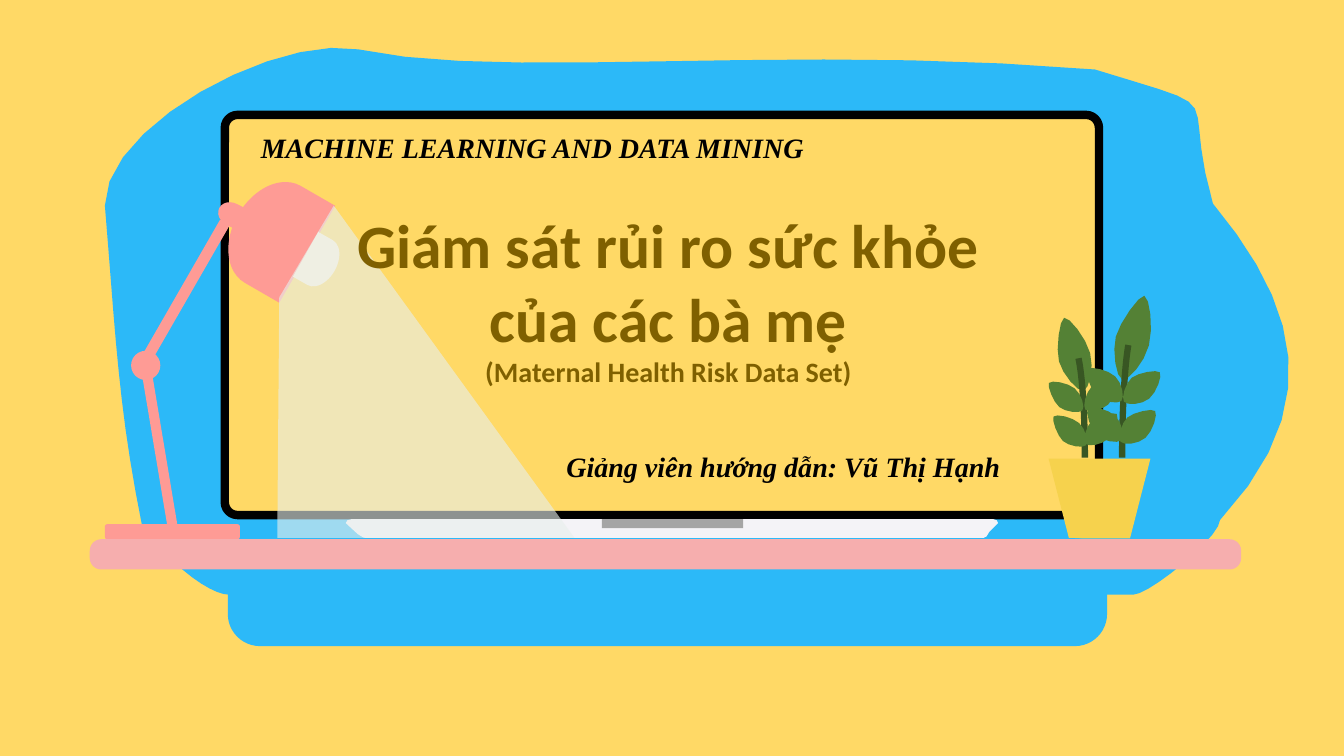
from lxml.etree import SubElement
from pptx import Presentation
from pptx.dml.color import RGBColor as Rgb
from pptx.enum.shapes import MSO_SHAPE as Kind
from pptx.enum.text import PP_ALIGN as Align
from pptx.oxml.ns import qn
from pptx.util import Inches, Pt

COLS, ROWS = 1333, 750
CELL = Inches(0.01)
HEX = {
    "sun": "FFD966", "sky": "2CB9F8", "ink": "000000", "foot": "F4F3F7",
    "grey": "A5A5A5", "leaf": "548135", "stem": "385623", "pot": "F6D24D",
    "lamp": "FE9B95", "bulb": "FCF1D7", "beam": "E8EFEC", "desk": "F6AEAE",
    "gold": "7F6000",
}

BLOB = [
    (104, 204), (103, 125, 274, 34, 355, 49), (498, 80, 773, 43, 1086, 69),
    (1228, 113, 1169, 84, 1203, 202), (1287, 303, 1316, 402, 1210, 516),
    (1210, 533, 1140, 590, 1124, 590), (227, 590),
    (211, 590, 175, 567, 141, 522), (117, 403, 115, 335, 104, 204),
]
FOOT = [
    (343, 519), (343, 517, 345, 515, 349, 515), (985, 515),
    (988, 515, 990, 517, 990, 519), (981, 528),
    (981, 530, 977, 535, 973, 535), (368, 535),
    (365, 535, 355, 532, 355, 530),
]
BEAM = [(277, 295), (331, 204), (570, 534), (275, 534)]
LEAF = [
    (0, .54), (0, .37, .36, 0, .5, 0), (.66, 0, 1, .33, 1, .54),
    (1, .75, .68, 1, .5, 1), (.32, 1, 0, .71, 0, .54),
]

SCREEN = (Kind.ROUNDED_RECTANGLE, (223, 114, 867, 397), "sun", 0, .032)
STAND = (Kind.RECTANGLE, (597, 515, 140, 9), "grey", 0, None)
POT = (Kind.FLOWCHART_MANUAL_OPERATION, (1040, 455, 101, 79), "pot", 0, None)
LAMP = [
    (Kind.ROUNDED_RECTANGLE, (104, 520, 134, 15), "lamp", 0, .167),
    (Kind.ROUNDED_RECTANGLE, (76, 442, 165, 10), "lamp", 80.5, .167),
    (Kind.OVAL, (130, 348, 29, 29), "lamp", 0, None),
    (Kind.ROUNDED_RECTANGLE, (103, 284, 161, 11), "lamp", 119.9, .167),
    (Kind.FLOWCHART_DELAY, (216, 201, 27, 23), "lamp", 206.9, None),
    (Kind.FLOWCHART_DELAY, (231, 177, 79, 111), "lamp", 210, None),
    (Kind.FLOWCHART_DELAY, (301, 235, 33, 51), "bulb", 29.6, None),
]
DESK = [
    (Kind.ROUNDED_RECTANGLE, (226, 534, 872, 107), "sky", 0, .298),
    (Kind.ROUNDED_RECTANGLE, (89, 535, 1142, 30), "desk", 0, .38),
]
SPRIGS = [
    ((1049, 314, 32, 75, 345.2), (1054, 345, 22, 218), False,
     (24, 43), [(1080, 370, 46.5), (1045, 372, 309.5),
                (1080, 404, 46.5), (1049, 406, 311.7)]),
    ((1107, 292, 34, 86, 14.8), (1113, 328, 23, 252), True,
     (27, 46), [(1082, 359, 313.5), (1119, 361, 50.5),
                (1082, 398, 313.5), (1115, 400, 48.3)]),
]

TITLE = [("Giám sát rủi ro sức khỏe của các bà mẹ", 44),
         ("(Maternal Health Risk Data Set)", 20)]
COURSE = [("MACHINE LEARNING AND DATA MINING ", 20)]
TUTOR = [("Giảng viên hướng dẫn: Vũ Thị Hạnh ", 20)]
TEXTS = [
    ((326, 200, 674, 192), TITLE, "Calibri", "gold", False),
    ((215, 125, 633, 44), COURSE, "Times New Roman", "ink", True),
    ((464, 441, 633, 44), TUTOR, "Times New Roman", "ink", True),
]


def rgb(name):
    return Rgb.from_string(HEX[name])


def emu(box):
    return [round(n * CELL) for n in box]


def paint(shape, name):
    shape.shadow.inherit = False
    shape.fill.solid()
    shape.fill.fore_color.rgb = rgb(name)
    shape.line.fill.background()
    return shape


def trace(steps, count):
    dots = [steps[0]]
    for step in steps[1:]:
        if len(step) == 2:
            dots.append(step)
            continue
        knots = [dots[-1], step[:2], step[2:4], step[4:]]
        for i in range(1, count + 1):
            t = i / count
            mix = [(1 - t) ** 3, 3 * t * (1 - t) ** 2, 3 * t * t * (1 - t), t ** 3]
            dots.append(tuple(sum(m * k[a] for m, k in zip(mix, knots))
                              for a in (0, 1)))
    return dots


def outline(steps, name, count=1):
    dots = [emu(dot) for dot in trace(steps, count)]
    pen = shapes.build_freeform(*dots[0], scale=1.0)
    pen.add_line_segments(dots[1:], close=True)
    return paint(pen.convert_to_shape(), name)


def leaf(x, y, wide, high, turn):
    steps = [tuple(x + n * wide if i % 2 == 0 else y + n * high
                   for i, n in enumerate(step)) for step in LEAF]
    outline(steps, "leaf", 4).rotation = turn


def part(kind, box, name, turn, bend):
    shape = paint(shapes.add_shape(kind, *emu(box)), name)
    shape.rotation = turn
    if bend is not None:
        shape.adjustments[0] = bend
    return shape


def stem(box, flip):
    arc = part(Kind.ARC, box, "stem", 0, 163.64)
    arc.fill.background()
    arc.line.color.rgb = rgb("stem")
    arc.line.width = Pt(4.5)
    arc.adjustments[1] = 0
    if flip:
        arc._element.spPr.find(qn("a:xfrm")).set("flipH", "1")


def write(box, rows, face, name, slant):
    frame = shapes.add_textbox(*emu(box)).text_frame
    frame.word_wrap = True
    for i, (text, size) in enumerate(rows):
        para = frame.add_paragraph() if i else frame.paragraphs[0]
        para.text = text
        para.alignment = Align.CENTER
        font = para.font
        font.name, font.size = face, Pt(size)
        font.bold, font.italic = True, slant
        font.color.rgb = rgb(name)


deck = Presentation()
deck.slide_width, deck.slide_height = emu((COLS, ROWS))
slide = deck.slides.add_slide(deck.slide_layouts[6])
slide.background.fill.solid()
slide.background.fill.fore_color.rgb = rgb("sun")
shapes = slide.shapes

outline(BLOB, "sky", 10)
screen = part(*SCREEN)
screen.line.color.rgb = rgb("ink")
screen.line.width = Pt(6)
outline(FOOT, "foot", 2)
part(*STAND)
for top, stalk, flip, size, sides in SPRIGS:
    leaf(*top)
    stem(stalk, flip)
    for x, y, turn in sides:
        leaf(x, y, *size, turn)
part(*POT)
for item in LAMP:
    part(*item)
beam = outline(BEAM, "beam")
tint = beam._element.spPr.find(qn("a:solidFill"))[0]
SubElement(tint, qn("a:alpha")).set("val", "61000")
write(*TEXTS[0])
for item in DESK:
    part(*item)
for item in TEXTS[1:]:
    write(*item)

deck.save("out.pptx")
